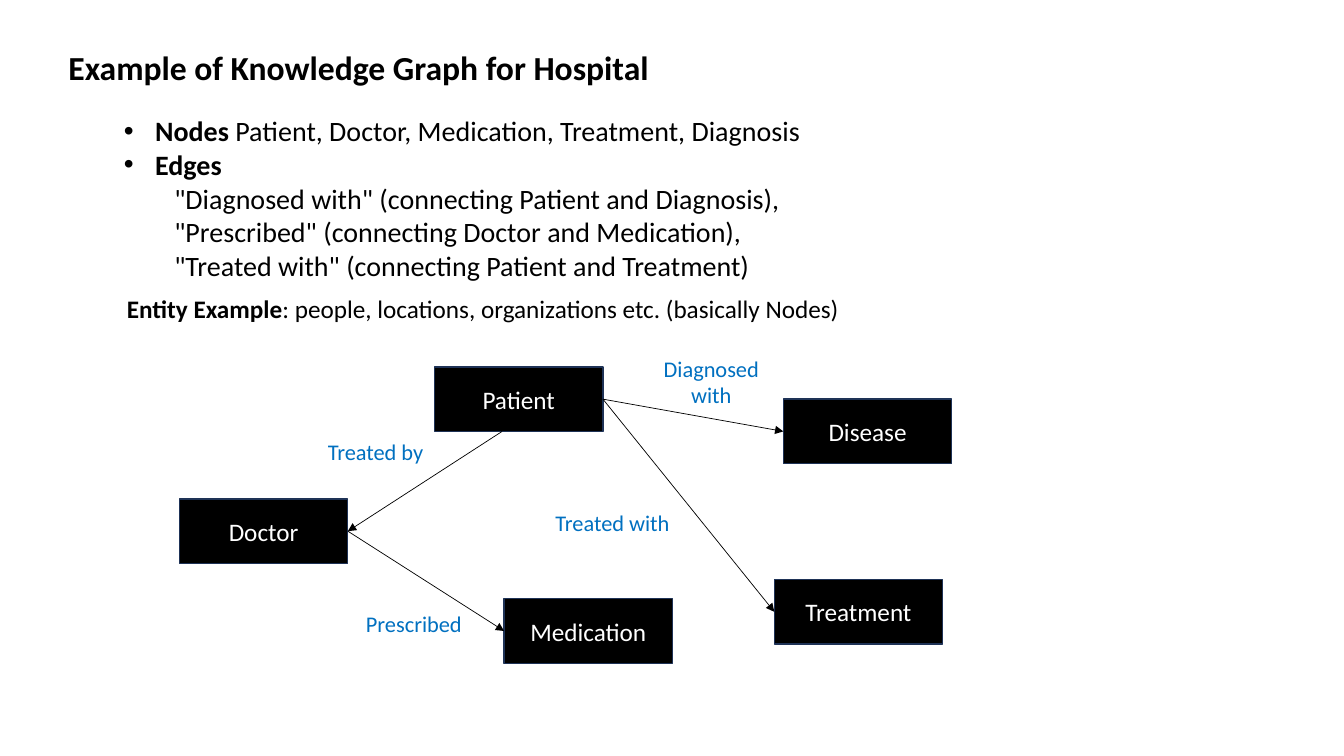
import pptx
import pptx.dml.color
import pptx.enum.shapes
import pptx.enum.text
import pptx.oxml.ns
import pptx.util
from lxml import etree

Inches = pptx.util.Inches
Pt = pptx.util.Pt
RGBColor = pptx.dml.color.RGBColor
qn = pptx.oxml.ns.qn
CENTER = pptx.enum.text.PP_ALIGN.CENTER

BLACK = RGBColor(0x00, 0x00, 0x00)
WHITE = RGBColor(0xFF, 0xFF, 0xFF)
NODE_EDGE = RGBColor(0x1E, 0x32, 0x56)
LABEL_BLUE = RGBColor(0x00, 0x70, 0xC0)

FONT = "Calibri"
NODE_SIZE = (1.67, 0.64)
LABEL_WIDTH = 1.55
LEFT, RIGHT = 1, 3

HEADING = [("Example of Knowledge Graph for Hospital", True)]
ENTITY_NOTE = [
    ("Entity Example", True),
    (": people, locations, organizations etc. (basically Nodes)", False),
]
BULLETS = [
    [("Nodes", True), (" Patient, Doctor, Medication, Treatment, Diagnosis", False)],
    [("Edges", True)],
]
EDGE_DETAILS = [
    '"Diagnosed with" (connecting Patient and Diagnosis),',
    '"Prescribed" (connecting Doctor and Medication),',
    '"Treated with" (connecting Patient and Treatment)',
]
NODES = {
    "Patient": (2.53, 0.17),
    "Doctor": (0, 1.48),
    "Medication": (3.22, 2.47),
    "Disease": (5.99, 0.49),
    "Treatment": (5.9, 2.28),
}
RELATIONS = [
    ("Diagnosed with", "Patient", "Disease", (4.5, 0, 0.64)),
    ("Prescribed", "Doctor", "Medication", (1.55, 2.53, 0.37)),
    ("Treated by", "Patient", "Doctor", (1.17, 0.83, 0.37)),
    ("Treated with", "Patient", "Treatment", (3.52, 1.53, 0.37)),
]
TREATED_BY_START = (3.2, 0.81)


def write_runs(paragraph, runs, size, color):
    for text, bold in runs:
        run = paragraph.add_run()
        run.text = text
        run.font.color.rgb = color
        formats = {"name": FONT, "size": Pt(size), "bold": bold}
        for name, value in formats.items():
            setattr(run.font, name, value)


def add_text_frame(slide, box):
    frame = slide.shapes.add_textbox(*map(Inches, box)).text_frame
    formats = {
        "word_wrap": True,
        "auto_size": pptx.enum.text.MSO_AUTO_SIZE.SHAPE_TO_FIT_TEXT,
    }
    for name, value in formats.items():
        setattr(frame, name, value)
    return frame


def add_line_of_text(slide, box, runs, size, color=BLACK, alignment=None):
    paragraph = add_text_frame(slide, box).paragraphs[0]
    paragraph.alignment = alignment
    write_runs(paragraph, runs, size, color)


def set_indent(paragraph, margin, first, bullet=None):
    properties = paragraph._p.get_or_add_pPr()
    properties.set("marL", str(Inches(margin)))
    properties.set("indent", str(Inches(first)))
    if bullet:
        etree.SubElement(properties, qn("a:buFont")).set("typeface", "Arial")
        etree.SubElement(properties, qn("a:buChar")).set("char", bullet)
    else:
        etree.SubElement(properties, qn("a:buNone"))


def add_definitions(slide, box):
    frame = add_text_frame(slide, box)
    details = [[(detail, False)] for detail in EDGE_DETAILS]
    for index, runs in enumerate(BULLETS + details):
        paragraph = frame.add_paragraph() if index else frame.paragraphs[0]
        if index < len(BULLETS):
            set_indent(paragraph, 0.31, -0.31, "•")
        else:
            paragraph.level = 1
            set_indent(paragraph, 0.5, 0)
        write_runs(paragraph, runs, 20, BLACK)


def add_node(slide, left, top, name):
    node = slide.shapes.add_shape(
        pptx.enum.shapes.MSO_SHAPE.RECTANGLE,
        *map(Inches, (left, top, *NODE_SIZE)),
    )
    node.shadow.inherit = False
    node.fill.solid()
    node.fill.fore_color.rgb = BLACK
    node.line.color.rgb = NODE_EDGE
    node.line.width = Pt(1)
    node.text_frame.vertical_anchor = pptx.enum.text.MSO_ANCHOR.MIDDLE
    paragraph = node.text_frame.paragraphs[0]
    paragraph.alignment = CENTER
    write_runs(paragraph, [(name, False)], 18, WHITE)
    return node


def add_arrow(slide, start, target, target_side, source=None):
    arrow = slide.shapes.add_connector(
        pptx.enum.shapes.MSO_CONNECTOR.STRAIGHT, *map(Inches, start), 0, 0
    )
    if source is not None:
        arrow.begin_connect(source, RIGHT)
    arrow.end_connect(target, target_side)
    arrow.line.color.rgb = BLACK
    arrow.line.width = Pt(0.5)
    line = arrow.line._get_or_add_ln()
    etree.SubElement(line, qn("a:tailEnd")).set("type", "triangle")
    etree.SubElement(arrow._element.spPr, qn("a:effectLst"))


def add_graph(slide, box):
    left, top = box
    nodes = {
        name: add_node(slide, left + x, top + y, name)
        for name, (x, y) in NODES.items()
    }
    for label, source, target, (x, y, height) in RELATIONS:
        if target == "Doctor":
            start = (left + TREATED_BY_START[0], top + TREATED_BY_START[1])
            add_arrow(slide, start, nodes[target], RIGHT)
        else:
            add_arrow(slide, (left, top), nodes[target], LEFT, nodes[source])
        label_box = (left + x, top + y, LABEL_WIDTH, height)
        add_line_of_text(slide, label_box, [(label, False)], 16, LABEL_BLUE, CENTER)


def main():
    presentation = pptx.Presentation()
    presentation.slide_width = Inches(13.33)
    presentation.slide_height = Inches(7.5)
    slide = presentation.slides.add_slide(presentation.slide_layouts[6])
    add_definitions(slide, (1.13, 1.08, 8.22, 1.78))
    add_graph(slide, (1.78, 3.47))
    add_line_of_text(slide, (0.58, 0.42, 6.92, 0.5), HEADING, 24)
    add_line_of_text(slide, (1.16, 2.86, 7.69, 0.4), ENTITY_NOTE, 18)
    presentation.save("out.pptx")


if __name__ == "__main__":
    main()
